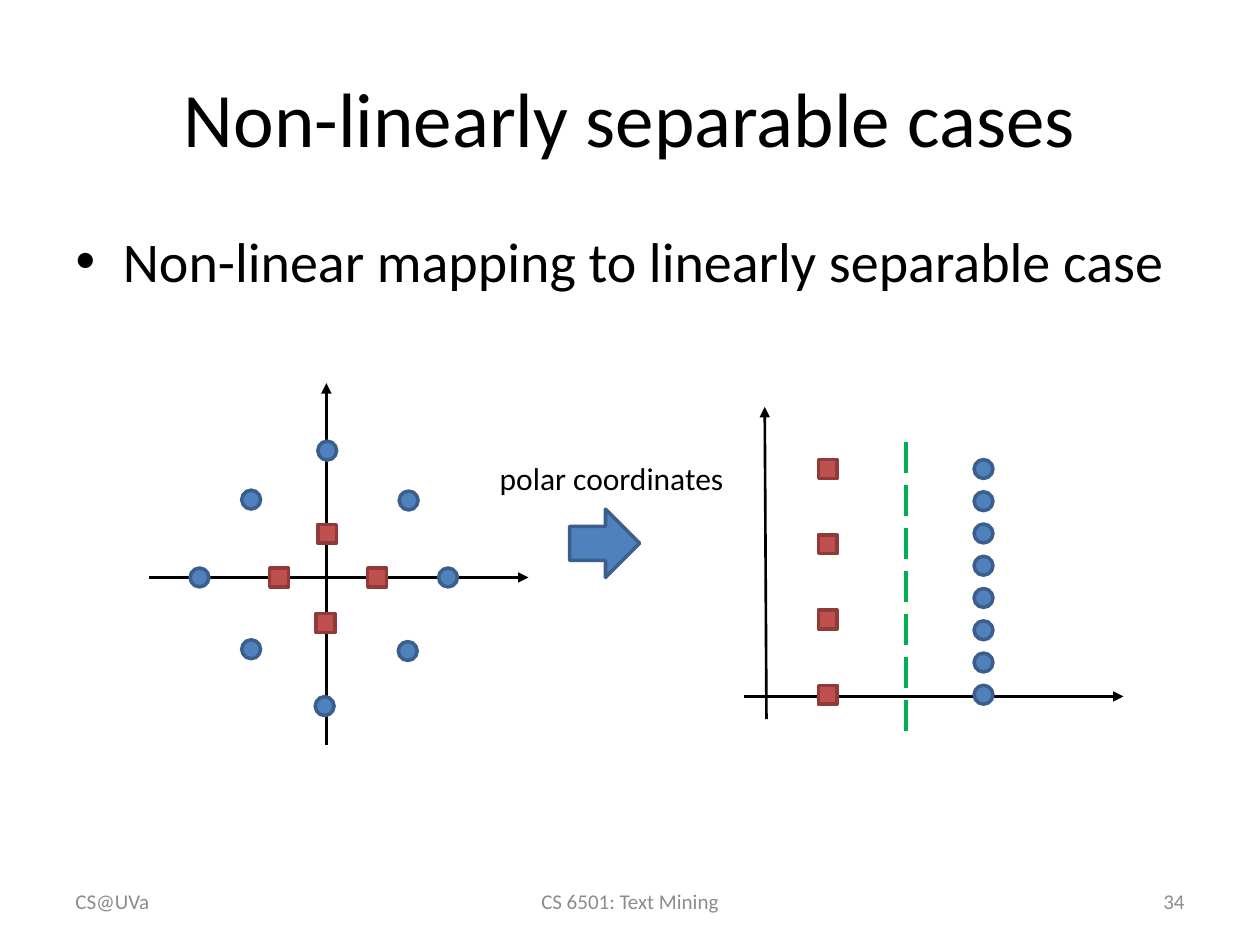
from pptx import Presentation
from pptx import util as u
from pptx.dml.color import RGBColor
from pptx.enum import dml, shapes, text
from pptx.oxml.ns import qn
from lxml import etree

BLACK = RGBColor(0x00, 0x00, 0x00)
GREY = RGBColor(0x8C, 0x8C, 0x8C)
BLUE = RGBColor(0x4F, 0x81, 0xBD)
DARK_BLUE = RGBColor(0x3A, 0x5F, 0x8C)
RED = RGBColor(0xC0, 0x50, 0x4D)
DARK_RED = RGBColor(0x8E, 0x3B, 0x39)
GREEN = RGBColor(0x00, 0xB0, 0x50)

MARK = 10.8
KIND = shapes.MSO_SHAPE
CIRCLE = (KIND.OVAL, BLUE, DARK_BLUE)
SQUARE = (KIND.RECTANGLE, RED, DARK_RED)
ALIGN = text.PP_ALIGN
MIDDLE = text.MSO_ANCHOR.MIDDLE


def points(*values):
    return [u.Pt(value) for value in values]


def apply(target, values):
    for name, value in values.items():
        setattr(target, name, value)


def write(box, words, size, color, align, anchor, wrap=True):
    apply(box.text_frame, {"text": words, "word_wrap": wrap, "vertical_anchor": anchor})
    para = box.text_frame.paragraphs[0]
    apply(para, {"alignment": align, "space_before": u.Pt(0)})
    span = para.runs[0]
    apply(span.font, {"name": "Calibri", "size": u.Pt(size)})
    span.font.color.rgb = color


def add_label(page, area, *style, **options):
    write(page.shapes.add_textbox(*points(*area)), *style, **options)


def add_shape(page, style, area):
    kind, fill, outline = style
    shape = page.shapes.add_shape(kind, *points(*area))
    shape.shadow.inherit = False
    shape.fill.solid()
    shape.fill.fore_color.rgb = fill
    shape.line.color.rgb = outline
    shape.line.width = u.Pt(2)


def add_marks(page, style, origin, offsets):
    for x, y in offsets:
        corner = (origin[0] + x - MARK / 2, origin[1] + y - MARK / 2)
        add_shape(page, style, (*corner, MARK, MARK))


def add_line(page, start, end, color=BLACK, width=1.5):
    line = page.shapes.add_connector(shapes.MSO_CONNECTOR.STRAIGHT, *points(*start, *end))
    line.line.color.rgb = color
    line.line.width = u.Pt(width)
    etree.SubElement(line._element.spPr, qn("a:effectLst"))
    return line


def add_axis(page, start, end):
    axis = add_line(page, start, end)
    etree.SubElement(axis.line._get_or_add_ln(), qn("a:tailEnd"), type="triangle")


def add_headings(page):
    title, body = page.placeholders
    for box, area, style in (
        (title, (36, 21.6, 648, 90),
         ("Non-linearly separable cases", 44, BLACK, ALIGN.CENTER, MIDDLE)),
        (body, (36, 126, 648, 356.4),
         ("Non-linear mapping to linearly separable case", 32, BLACK,
          ALIGN.LEFT, text.MSO_ANCHOR.TOP)),
    ):
        apply(box, dict(zip(("left", "top", "width", "height"), points(*area))))
        write(box, *style)


def add_cartesian_plot(page, left, top, width, height):
    x, y = origin = (left + 101.5, top + 111)
    add_axis(page, (left, y), (left + width, y))
    add_axis(page, (x, top + height), (x, top))
    add_marks(page, SQUARE, origin, [(-27, 0), (29, 0), (0.5, -25), (-0.5, 26)])
    add_marks(page, CIRCLE, origin, [
        (-72.5, 0), (69.5, 0), (-1, 73.5), (0.5, -72.5),
        (-43, -44.5), (47, -44), (-43, 41), (46.5, 42)])


def add_mapping(page, left, top, width, height):
    arrow = (left + 47, top + 32.5, 40, 39)
    add_shape(page, (KIND.RIGHT_ARROW, BLUE, DARK_BLUE), arrow)
    add_label(page, (left, top, width, height), "polar coordinates", 18, BLACK,
              ALIGN.LEFT, text.MSO_ANCHOR.TOP, wrap=False)


def add_polar_plot(page, left, top, width, height):
    base = top + height - 13
    add_axis(page, (left, base), (left + width, base))
    add_axis(page, (left + 13, top + height), (left + 12, top))
    first, span = top + 35.5, 129
    for style, x, count in ((SQUARE, 48, 4), (CIRCLE, 137, 8)):
        step = span / (count - 1)
        add_marks(page, style, (left + x, first), [(0, i * step) for i in range(count)])
    x = left + 93
    divider = add_line(page, (x, top + height + 7), (x, top + 15), GREEN, 2.25)
    divider.line.dash_style = dml.MSO_LINE.LONG_DASH


def add_footer(page, left, top, width, height):
    for words, x, part, align in (
        ("CS@UVa", 0, 168, ALIGN.LEFT),
        ("CS 6501: Text Mining", 210, 228, ALIGN.CENTER),
        ("34", width - 168, 168, ALIGN.RIGHT),
    ):
        add_label(page, (left + x, top, part, height), words, 12, GREY, align, MIDDLE)


def main():
    deck = Presentation()
    deck.slide_width, deck.slide_height = points(720, 540)
    page = deck.slides.add_slide(deck.slide_layouts[1])
    add_headings(page)
    add_cartesian_plot(page, 85, 219, 217, 206.5)
    add_mapping(page, 278.5, 258.5, 144, 29)
    add_polar_plot(page, 425, 232.5, 217, 178.5)
    add_footer(page, 36, 500.5, 648, 29)
    deck.save("out.pptx")


if __name__ == "__main__":
    main()
